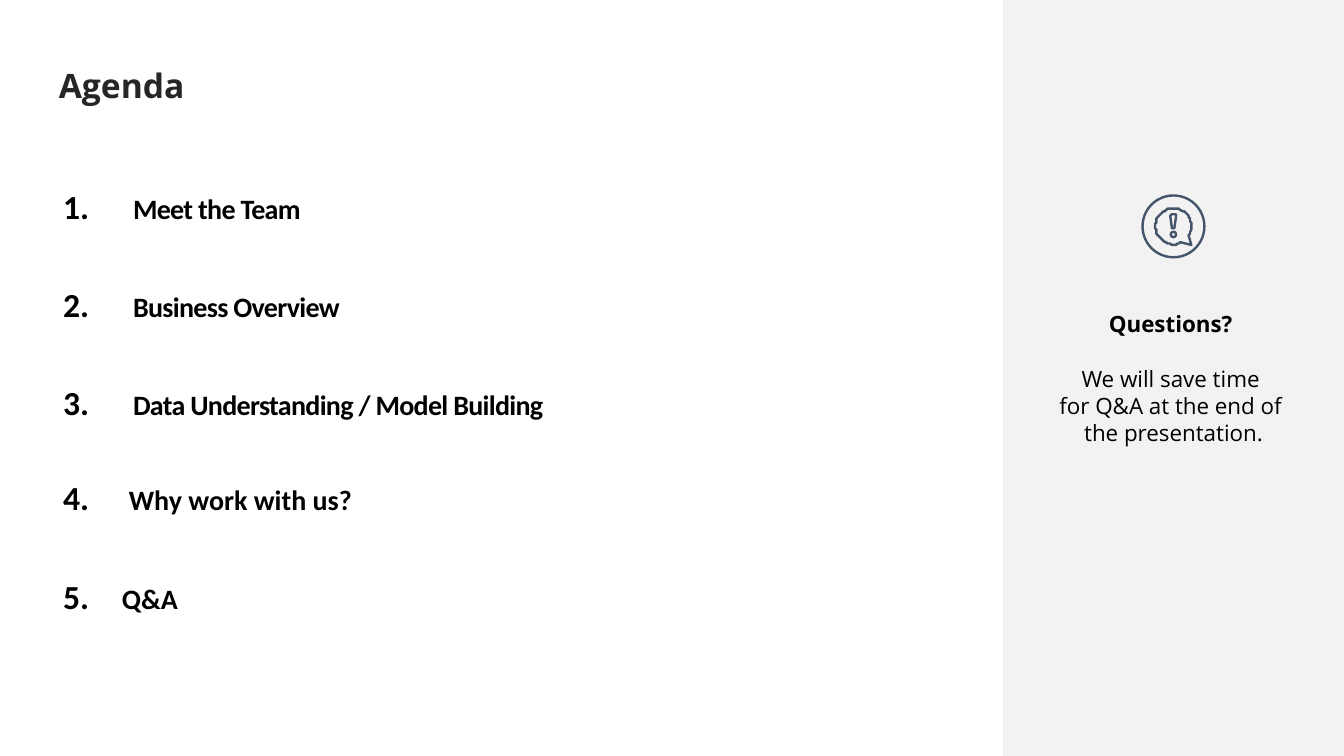
from dataclasses import dataclass
from math import cos, radians, sin

from lxml.etree import SubElement
from pptx import Presentation
from pptx.dml.color import RGBColor
from pptx.enum.shapes import MSO_SHAPE
from pptx.enum.text import MSO_ANCHOR, MSO_AUTO_SIZE, PP_ALIGN
from pptx.oxml.ns import qn
from pptx.util import Pt


@dataclass(frozen=True)
class Theme:
    heading_font: str = "Open Sans"
    list_font: str = "Calibri"
    title_color: RGBColor = RGBColor(0x26, 0x26, 0x26)
    text_color: RGBColor = RGBColor(0, 0, 0)
    panel_color: RGBColor = RGBColor(0xF2, 0xF2, 0xF2)
    icon_color: RGBColor = RGBColor(0x44, 0x54, 0x6A)
    title_size: float = 24
    list_size: float = 20
    panel_size: float = 16
    panel_line: float = 19.5
    icon_stroke: float = 1.7


THEME = Theme()
AGENDA = [
    ("Meet the Team", 50, 0, -0.5),
    ("Business Overview", 50, 46, -0.5),
    ("Data Understanding / Model Building", 50, 46, -0.5),
    ("Why work with us?", 47, 44, 0),
    ("Q&A", 42, 47, 0),
]
PANEL_TEXT = [
    (["Questions? "], True, 0),
    (["We will save time ", "for Q&A at the end of ", "the presentation."], False, THEME.panel_line),
]


def place(shape, left, top, width, height):
    shape.left, shape.top = Pt(left), Pt(top)
    shape.width, shape.height = Pt(width), Pt(height)


def prepare_frame(shape, anchor):
    frame = shape.text_frame
    frame.margin_left = frame.margin_right = frame.margin_top = frame.margin_bottom = 0
    frame.auto_size = MSO_AUTO_SIZE.NONE
    frame.word_wrap = True
    frame.vertical_anchor = anchor
    return frame


def next_paragraph(frame, index):
    return frame.add_paragraph() if index else frame.paragraphs[0]


def add_span(para, text, font, size, color, bold=True):
    span = para.add_run()
    span.text = text
    span.font.name = font
    span.font.size = Pt(size)
    span.font.bold = bold
    span.font.color.rgb = color
    return span


def number_paragraph(para, indent):
    properties = para._p.get_or_add_pPr()
    properties.set("marL", str(Pt(indent)))
    properties.set("indent", str(-Pt(indent)))
    SubElement(properties, qn("a:buSzPct"), val="120000")
    SubElement(properties, qn("a:buFont"), typeface=THEME.list_font)
    SubElement(properties, qn("a:buAutoNum"), type="arabicPeriod")


def fill_title(title):
    place(title, 42, 48, 897, 29)
    para = prepare_frame(title, MSO_ANCHOR.MIDDLE).paragraphs[0]
    para.alignment = PP_ALIGN.LEFT
    para.line_spacing = 0.9
    add_span(para, "Agenda", THEME.heading_font, THEME.title_size, THEME.title_color)


def fill_agenda(body):
    place(body, 45, 136.5, 600, 320)
    frame = prepare_frame(body, MSO_ANCHOR.TOP)
    for index, (text, indent, gap, tracking) in enumerate(AGENDA):
        para = next_paragraph(frame, index)
        number_paragraph(para, indent)
        para.alignment = PP_ALIGN.LEFT
        para.line_spacing = Pt(24)
        para.space_before = Pt(gap)
        span = add_span(para, text, THEME.list_font, THEME.list_size, THEME.text_color)
        if tracking:
            span.font._element.set("spc", str(int(tracking * 100)))


def add_panel(page):
    panel = page.shapes.add_shape(MSO_SHAPE.RECTANGLE, Pt(716.5), 0, Pt(243.5), Pt(540))
    panel.shadow.inherit = False
    panel.fill.solid()
    panel.fill.fore_color.rgb = THEME.panel_color
    panel.line.fill.background()
    frame = prepare_frame(panel, MSO_ANCHOR.MIDDLE)
    for index, (lines, bold, gap) in enumerate(PANEL_TEXT):
        para = next_paragraph(frame, index)
        para.alignment = PP_ALIGN.CENTER
        para.line_spacing = Pt(THEME.panel_line)
        para.space_before = Pt(gap)
        for line_index, line in enumerate(lines):
            if line_index:
                para.add_line_break()
            add_span(para, line, THEME.heading_font, THEME.panel_size, THEME.text_color, bold)


def outline(shape):
    shape.shadow.inherit = False
    shape.fill.background()
    shape.line.color.rgb = THEME.icon_color
    shape.line.width = Pt(THEME.icon_stroke)


def arc(center_x, center_y, radius, start, stop, step=6):
    return [
        (center_x + radius * cos(radians(angle)), center_y + radius * sin(radians(angle)))
        for angle in range(start, stop + 1, step)
    ]


def add_ring(icon, center_x, center_y, radius):
    ring = icon.shapes.add_shape(
        MSO_SHAPE.OVAL, Pt(center_x - radius), Pt(center_y - radius), Pt(2 * radius), Pt(2 * radius)
    )
    outline(ring)


def add_outline(icon, points):
    builder = icon.shapes.build_freeform(*points[0], scale=Pt(1))
    builder.add_line_segments(points[1:], close=True)
    outline(builder.convert_to_shape())


def add_question_icon(page):
    icon = page.shapes.add_group_shape()
    center_x, center_y = 838.2, 161.7
    add_ring(icon, center_x, center_y, 22.1)
    bubble = arc(center_x, center_y, 12.9, 66, 390)
    add_outline(icon, bubble + [(center_x + 12.7, center_y + 13)])
    mark = arc(center_x, 154.6, 2, 180, 360) + arc(center_x, 161.6, 1.2, 0, 180)
    add_outline(icon, mark)
    add_ring(icon, center_x, 167.5, 1.9)


def main():
    deck = Presentation()
    deck.slide_width, deck.slide_height = Pt(960), Pt(540)
    page = deck.slides.add_slide(deck.slide_layouts[1])
    fill_title(page.shapes.title)
    fill_agenda(page.placeholders[1])
    add_panel(page)
    add_question_icon(page)
    deck.save("out.pptx")


if __name__ == "__main__":
    main()
